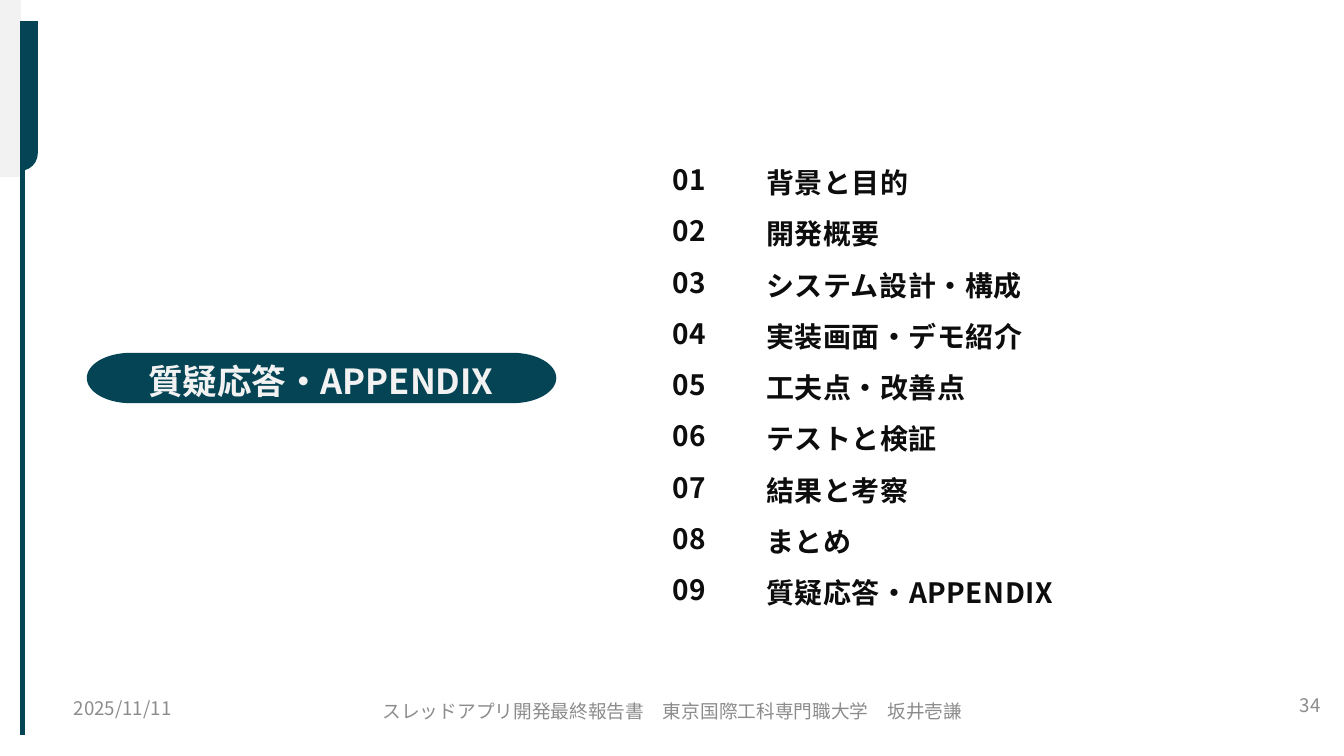
import math
from dataclasses import dataclass

from lxml import etree
from pptx import Presentation
from pptx.dml.color import RGBColor
from pptx.enum.shapes import MSO_CONNECTOR, MSO_SHAPE
from pptx.enum.text import MSO_ANCHOR, MSO_AUTO_SIZE, PP_ALIGN
from pptx.oxml.ns import qn
from pptx.util import Pt

LEFT, CENTER, RIGHT, JUSTIFY = PP_ALIGN.LEFT, PP_ALIGN.CENTER, PP_ALIGN.RIGHT, PP_ALIGN.JUSTIFY
TOP, MIDDLE = MSO_ANCHOR.TOP, MSO_ANCHOR.MIDDLE
RECTANGLE, ROUNDED = MSO_SHAPE.RECTANGLE, MSO_SHAPE.ROUNDED_RECTANGLE
NO_AUTOFIT = MSO_AUTO_SIZE.NONE
STRAIGHT = MSO_CONNECTOR.STRAIGHT
TITLE_ONLY = 5


@dataclass(frozen=True)
class Theme:
    font: str = "Noto Sans CJK JP"
    teal: RGBColor = RGBColor(0x04, 0x44, 0x54)
    pale: RGBColor = RGBColor(0xF3, 0xF2, 0xF3)
    ink: RGBColor = RGBColor(0x0D, 0x0D, 0x0D)
    grey: RGBColor = RGBColor(0x8C, 0x8C, 0x8C)
    title_size: float = 37
    agenda_size: float = 30
    footer_size: float = 20


THEME = Theme()


@dataclass(frozen=True)
class Box:
    left: float
    top: float
    width: float
    height: float

    def lengths(self) -> tuple:
        return Pt(self.left), Pt(self.top), Pt(self.width), Pt(self.height)


@dataclass(frozen=True)
class TextStyle:
    size: float
    color: RGBColor
    bold: bool = False
    align: PP_ALIGN = LEFT
    anchor: MSO_ANCHOR = TOP
    line_height: float | None = None
    tracking: float = 0
    inset_x: float = 0
    inset_y: float = 0


@dataclass(frozen=True)
class FooterItem:
    text: str
    box: Box
    align: PP_ALIGN


TITLE = "質疑応答・APPENDIX"
TOPICS = ["背景と目的", "開発概要", "システム設計・構成", "実装画面・デモ紹介", "工夫点・改善点",
          "テストと検証", "結果と考察", "まとめ", TITLE]
FOOTER = [
    FooterItem("スレッドアプリ開発最終報告書\u3000東京国際工科専門職大学\u3000坂井壱謙".replace("\u3000", "　"),
               Box(391, 735, 659, 53), CENTER),
    FooterItem("2025/11/11", Box(72, 728.5, 276, 60), LEFT),
    FooterItem("34", Box(1146, 728.5, 276, 53), RIGHT),
]


def fill_plain(shape, color: RGBColor) -> None:
    shape.shadow.inherit = False
    shape.fill.solid()
    shape.fill.fore_color.rgb = color
    shape.line.fill.background()


def add_block(page, kind: MSO_SHAPE, box: Box, color: RGBColor):
    block = page.shapes.add_shape(kind, *box.lengths())
    fill_plain(block, color)
    return block


def add_rule(page, x: float, top: float, bottom: float, width: float) -> None:
    rule = page.shapes.add_connector(STRAIGHT, Pt(x), Pt(bottom), Pt(x), Pt(top))
    rule.line.color.rgb = THEME.teal
    rule.line.width = Pt(width)
    etree.SubElement(rule.element.spPr, qn("a:effectLst"))


def add_pill(page, box: Box, cap: float) -> None:
    """Draw a bar whose ends are half ellipses reaching cap points inwards."""
    steps = 32
    half = box.height / 2
    outline = []
    for center_x, start in ((box.left + box.width - cap, -90), (box.left + cap, 90)):
        for step in range(steps + 1):
            angle = math.radians(start + 180 * step / steps)
            outline.append((Pt(center_x + cap * math.cos(angle)),
                            Pt(box.top + half + half * math.sin(angle))))
    builder = page.shapes.build_freeform(*outline[0])
    builder.add_line_segments(outline[1:], close=True)
    fill_plain(builder.convert_to_shape(), THEME.teal)


def write_text(shape, lines: list[str], style: TextStyle) -> None:
    frame = shape.text_frame
    frame.word_wrap = True
    frame.auto_size = NO_AUTOFIT
    frame.vertical_anchor = style.anchor
    frame.margin_left = frame.margin_right = Pt(style.inset_x)
    frame.margin_top = frame.margin_bottom = Pt(style.inset_y)
    for index, line in enumerate(lines):
        para = frame.add_paragraph() if index else frame.paragraphs[0]
        para.alignment = style.align
        if style.line_height:
            para.line_spacing = Pt(style.line_height)
        span = para.add_run()
        span.text = line
        font = span.font
        font.size, font.bold, font.name = Pt(style.size), style.bold, THEME.font
        font.color.rgb = style.color
        properties = span._r.get_or_add_rPr()
        etree.SubElement(properties, qn("a:ea"), typeface=THEME.font)
        if style.tracking:
            properties.set("spc", str(round(style.tracking * 100)))


def add_text(page, box: Box, lines: list[str], style: TextStyle) -> None:
    write_text(page.shapes.add_textbox(*box.lengths()), lines, style)


def add_side_tab(page) -> None:
    tab = add_block(page, ROUNDED, Box(3, 22.5, 37.5, 160.5), THEME.teal)
    tab.adjustments[0] = 0.5
    add_block(page, RECTANGLE, Box(3, 22.5, 37.5, 29.5), THEME.teal)
    add_block(page, RECTANGLE, Box(0, 0, 22.5, 189.5), THEME.pale)
    add_rule(page, 24, 22.5, 787.5, 5)


def add_agenda(page) -> None:
    def style(align: PP_ALIGN) -> TextStyle:
        return TextStyle(THEME.agenda_size, THEME.ink, True, align, line_height=54.9, tracking=0.6)

    numbers = [f"{number:02}" for number in range(1, len(TOPICS) + 1)]
    add_text(page, Box(821, 158.5, 585, 493), TOPICS, style(LEFT))
    add_text(page, Box(720, 155.5, 101, 493), numbers, style(JUSTIFY))


def add_title(page) -> None:
    add_pill(page, Box(93, 378, 503, 54), 47)
    title = page.shapes.title
    title.left, title.top, title.width, title.height = Box(105, 378, 477.5, 48).lengths()
    write_text(title, [TITLE], TextStyle(THEME.title_size, THEME.pale, True, CENTER, line_height=51.8))
    title.element.getparent().append(title.element)  # bring the title in front of its pill


def main() -> None:
    deck = Presentation()
    deck.slide_width, deck.slide_height = Pt(1440), Pt(810)
    page = deck.slides.add_slide(deck.slide_layouts[TITLE_ONLY])
    add_side_tab(page)
    add_agenda(page)
    add_title(page)
    for item in FOOTER:
        style = TextStyle(THEME.footer_size, THEME.grey, align=item.align, anchor=MIDDLE,
                          inset_x=7.2, inset_y=3.6)
        add_text(page, item.box, [item.text], style)
    deck.save("out.pptx")


if __name__ == "__main__":
    main()
